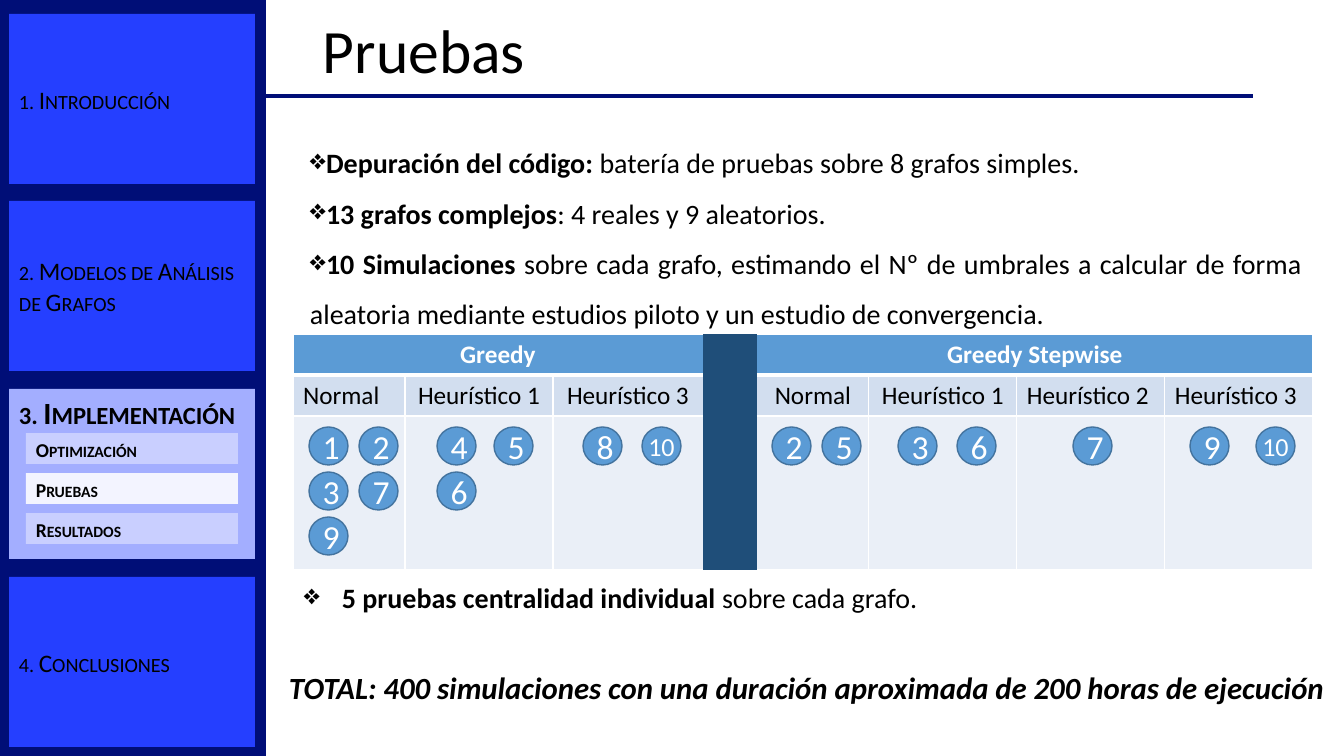
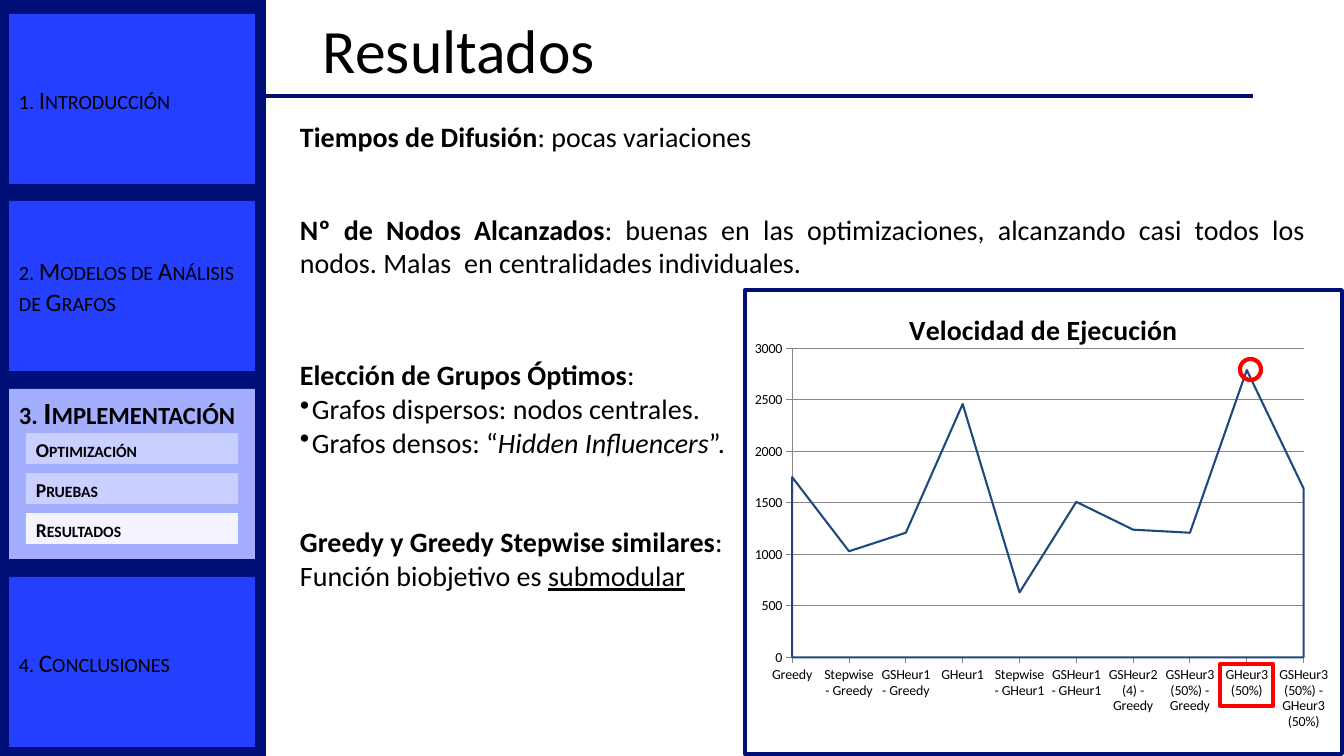
from pptx import Presentation
from pptx.chart.data import CategoryChartData
from pptx.dml.color import RGBColor
from pptx.enum.chart import XL_CHART_TYPE as ChartType, XL_TICK_MARK as TickMark
from pptx.enum.shapes import MSO_CONNECTOR as Connector, MSO_SHAPE as Preset
from pptx.enum.text import MSO_ANCHOR as Anchor, PP_ALIGN as Align
from pptx.oxml import parse_xml
from pptx.oxml.ns import nsdecls
from pptx.util import Emu, Pt

FONT = "Calibri"
NAVY, BLACK, WHITE, RED = "000E77", "000000", "FFFFFF", "FF0000"
SECTION, SECTION_OPEN = "253FFF", "A3AEFF"
TOPIC, TOPIC_OPEN = "C9CFFF", "F3F4FF"
HEADER, SUBHEADER, BODY, DIVIDER = "5B9BD5", "D2DEEF", "EAEFF7", "1F4E79"
DISC_LINE, SPEED_LINE, GRID = "43739E", "1F497D", "868686"

SECTIONS = ["1. Introducción", "2. Modelos de Análisis de Grafos",
            "3. Implementación", "4. Conclusiones"]
TOPICS = ["Optimización", "Pruebas", "Resultados"]
OPEN_SECTION = 2

BOLD = {"bold": True}
JUSTIFIED = {"alignment": Align.JUSTIFY}
SPACED = {"alignment": Align.JUSTIFY, "line_spacing": 1.5}
CENTERED = {"alignment": Align.CENTER}

DIVIDER_COLUMN = 3
COLUMN_WIDTHS = [112, 148, 150, 54, 112, 148, 148, 148]
ROW_HEIGHTS = [41, 41, 154]
VARIANTS = ["Normal", "Heurístico 1", "Heurístico 3", "",
            "Normal", "Heurístico 1", "Heurístico 2", "Heurístico 3"]
LEFT_VARIANTS = {0, 6, 7}
TESTS = [(309, 50, [1, 2, 3, 7, 9]), (437, 57, [4, 5, 6]), (583, 59, [8, 10]),
         (772, 50, [2, 5]), (898, 59, [3, 6]), (1073, 0, [7]), (1190, 66, [9, 10])]

SPEEDS = {"Greedy": 1750, "Stepwise - Greedy": 1030, "GSHeur1 - Greedy": 1210,
          "GHeur1": 2460, "Stepwise - GHeur1": 630, "GSHeur1 - GHeur1": 1510,
          "GSHeur2 (4) - Greedy": 1240, "GSHeur3 (50%) - Greedy": 1210,
          "GHeur3 (50%)": 2790, "GSHeur3 (50%) - GHeur3 (50%)": 1640}


def px(pixels):
    return Emu(round(pixels * 914400 / 100.8))


def box(*pixels):
    return [px(value) for value in pixels]


def rgb(code):
    return RGBColor.from_string(code)


def apply(target, values):
    for key, value in values.items():
        setattr(target, key, value)


def style_font(font, size, color=BLACK, **values):
    apply(font, {"name": FONT, "size": Pt(size), **values})
    font.color.rgb = rgb(color)


def add_run(paragraph, text, size, color=BLACK, small_caps=False, **values):
    run = paragraph.add_run()
    run.text = text
    style_font(run.font, size, color, **values)
    if small_caps:
        run.font._element.set("cap", "small")


def add_bullet(paragraph, mark, hang=0):
    properties = paragraph._p.get_or_add_pPr()
    properties.set("marL", str(px(hang)))
    properties.set("indent", str(-px(hang)))
    properties.append(parse_xml(f'<a:buChar {nsdecls("a")} char="{mark}"/>'))


def add_text(slide, area, size, paragraphs, anchor=Anchor.TOP):
    frame = slide.shapes.add_textbox(*box(*area)).text_frame
    apply(frame, {"word_wrap": True, "vertical_anchor": anchor})
    for index, (layout, bullet, runs) in enumerate(paragraphs):
        paragraph = frame.add_paragraph() if index else frame.paragraphs[0]
        apply(paragraph, layout)
        if bullet:
            add_bullet(paragraph, *bullet)
        for text, values in runs:
            add_run(paragraph, text, size, **values)


def add_figure(slide, preset, area, fill=None, line=None, weight=1):
    figure = slide.shapes.add_shape(preset, *box(*area))
    figure.shadow.inherit = False
    if fill:
        figure.fill.solid()
        figure.fill.fore_color.rgb = rgb(fill)
    else:
        figure.fill.background()
    if line:
        figure.line.color.rgb = rgb(line)
        figure.line.width = Pt(weight)
    else:
        figure.line.fill.background()
    return figure


def add_label(figure, text, size, anchor=Anchor.MIDDLE, align=Align.LEFT, **values):
    frame = figure.text_frame
    apply(frame, {"word_wrap": True, "vertical_anchor": anchor})
    frame.paragraphs[0].alignment = align
    add_run(frame.paragraphs[0], text, size, **values)


def add_navigation(slide, current):
    for index, section in enumerate(SECTIONS):
        is_open = index == OPEN_SECTION
        panel = add_figure(slide, Preset.RECTANGLE, (9, 14 + index * 563 // 3, 246, 170),
                           SECTION_OPEN if is_open else SECTION)
        add_label(panel, section, 22 if is_open else 18,
                  Anchor.TOP if is_open else Anchor.MIDDLE,
                  bold=is_open, small_caps=True)
    for index, topic in enumerate(TOPICS):
        panel = add_figure(slide, Preset.RECTANGLE, (26, 433 + index * 40, 212, 31),
                           TOPIC_OPEN if topic == current else TOPIC)
        add_label(panel, topic, 14, Anchor.TOP, bold=True, small_caps=True)


def add_base(deck, title):
    slide = deck.slides.add_slide(deck.slide_layouts[6])
    add_figure(slide, Preset.RECTANGLE, (-1, 0, 267, 756), NAVY)
    rule = slide.shapes.add_connector(Connector.STRAIGHT, *box(264, 96, 1253, 96))
    rule.line.color.rgb = rgb(NAVY)
    rule.line.width = Pt(2.25)
    rule._element.spPr.append(parse_xml(f'<a:effectLst {nsdecls("a")}/>'))
    add_text(slide, (313, 0, 937, 107), 44,
             [({"line_spacing": 0.9}, None, [(title, {})])], Anchor.MIDDLE)
    add_navigation(slide, title)
    return slide


def border_weight(row, column, side):
    beside_divider = (column, side) in {(2, "R"), (4, "L")} or (row, column, side) == (0, 0, "R")
    if column == DIVIDER_COLUMN or beside_divider:
        return 0
    return 3 if (row, side) in {(0, "B"), (1, "T")} else 1


def set_borders(cell, row, column):
    properties = cell._tc.get_or_add_tcPr()
    for position, side in enumerate("LRTB"):
        weight = border_weight(row, column, side)
        paint = (f'<a:solidFill><a:srgbClr val="{WHITE}"/></a:solidFill>'
                 if weight else "<a:noFill/>")
        properties.insert(position, parse_xml(
            f'<a:ln{side} {nsdecls("a")} w="{Pt(weight)}">{paint}</a:ln{side}>'))


def write_cell(cell, text, align=Align.CENTER, **values):
    cell.vertical_anchor = Anchor.MIDDLE if align == Align.CENTER else Anchor.TOP
    paragraph = cell.text_frame.paragraphs[0]
    paragraph.alignment = align
    add_run(paragraph, text, 18, **values)


def add_tests_table(slide):
    area = (293, 334, sum(COLUMN_WIDTHS), sum(ROW_HEIGHTS))
    table = slide.shapes.add_table(len(ROW_HEIGHTS), len(COLUMN_WIDTHS), *box(*area)).table
    for column, width in zip(table.columns, COLUMN_WIDTHS):
        column.width = px(width)
    for row, height in zip(table.rows, ROW_HEIGHTS):
        row.height = px(height)
    for row, shade in enumerate([HEADER, SUBHEADER, BODY]):
        for column in range(len(COLUMN_WIDTHS)):
            cell = table.cell(row, column)
            cell.fill.solid()
            cell.fill.fore_color.rgb = rgb(DIVIDER if column == DIVIDER_COLUMN else shade)
            set_borders(cell, row, column)
    for first, last, method in [(0, 2, "Greedy"), (4, 7, "Greedy Stepwise")]:
        table.cell(0, first).merge(table.cell(0, last))
        write_cell(table.cell(0, first), method, color=WHITE, bold=True)
    for column, variant in enumerate(VARIANTS):
        if variant:
            align = Align.LEFT if column in LEFT_VARIANTS else Align.CENTER
            write_cell(table.cell(1, column), variant, align, bold=False)


def add_test_discs(slide):
    for left, gap, numbers in TESTS:
        for index, number in enumerate(numbers):
            row, column = divmod(index, 2)
            area = (left + column * gap, 427 + row * 45, 39, 38)
            disc = add_figure(slide, Preset.OVAL, area, HEADER, DISC_LINE)
            wide = number > 9
            apply(disc.text_frame, {"margin_left": px(0 if wide else 8), "margin_top": 0,
                                    "margin_right": px(0 if wide else 10), "margin_bottom": 0})
            add_label(disc, str(number), 18.6 if wide else 24, align=Align.CENTER, color=WHITE)


def add_speed_chart(slide):
    data = CategoryChartData()
    data.categories = list(SPEEDS)
    data.add_series("Series 1", list(SPEEDS.values()))
    chart = slide.shapes.add_chart(ChartType.AREA, *box(743, 288, 601, 468), data).chart
    style_font(chart.font, 10)
    apply(chart, {"has_legend": False, "has_title": True})
    heading = chart.chart_title.text_frame.paragraphs[0]
    add_run(heading, "Velocidad de Ejecución", 20, bold=True)
    plot = chart.plots[0]
    plot.vary_by_categories = False
    speed = plot.series[0].format
    speed.fill.background()
    speed.line.color.rgb = rgb(SPEED_LINE)
    speed.line.width = Pt(1.5)
    values, methods = chart.value_axis, chart.category_axis
    apply(values, {"minimum_scale": 0, "maximum_scale": 3000, "major_unit": 500,
                   "has_major_gridlines": True})
    apply(methods, {"has_major_gridlines": False})
    for axis in (values, methods):
        apply(axis, {"major_tick_mark": TickMark.OUTSIDE, "minor_tick_mark": TickMark.NONE})
        axis.format.line.color.rgb = rgb(GRID)
    values.major_gridlines.format.line.color.rgb = rgb(GRID)
    frame_chart(chart)


def frame_chart(chart):
    space = chart._chartSpace
    space.find(".//" + "{*}crossBetween").set("val", "midCat")
    area = space.chart.plotArea
    for old in area.findall("{*}layout"):
        area.remove(old)
    modes = "".join(f'<c:{axis}Mode val="edge"/>' for axis in "xy")
    sizes = "".join(f'<c:{side} val="{share}"/>' for side, share in
                    {"x": 0.079, "y": 0.126, "w": 0.857, "h": 0.666}.items())
    area.insert(0, parse_xml(
        f'<c:layout {nsdecls("c")}><c:manualLayout><c:layoutTarget val="inner"/>'
        f'{modes}{sizes}</c:manualLayout></c:layout>'))
    space.chart.addnext(parse_xml(
        f'<c:spPr {nsdecls("c", "a")}><a:solidFill><a:srgbClr val="{WHITE}"/></a:solidFill>'
        f'<a:ln w="{Pt(3)}"><a:solidFill><a:srgbClr val="{NAVY}"/></a:solidFill></a:ln></c:spPr>'))


def build_tests(deck):
    slide = add_base(deck, "Pruebas")
    diamond = ("❖",)
    add_text(slide, (300, 124, 1012, 214), 20, [
        (SPACED, diamond, [("Depuración del código: ", BOLD),
                           ("batería de pruebas sobre 8 grafos simples.", {})]),
        (SPACED, diamond, [("13 grafos complejos", BOLD), (": 4 reales y 9 aleatorios.", {})]),
        (SPACED, diamond, [("10 Simulaciones ", BOLD),
                           ("sobre cada grafo, estimando el Nº de umbrales a calcular de forma "
                            "aleatoria mediante estudios piloto y un estudio de convergencia.", {})]),
    ])
    add_tests_table(slide)
    add_test_discs(slide)
    add_text(slide, (294, 576, 981, 44), 20, [
        ({}, ("❖", 38), [("5 pruebas centralidad individual ", BOLD), ("sobre cada grafo.", {})])])
    add_text(slide, (276, 664, 1061, 47), 22, [
        (CENTERED, None, [("TOTAL: 400 simulaciones con una duración aproximada de "
                           "200 horas de ejecución", {"bold": True, "italic": True})])])


def build_results(deck):
    slide = add_base(deck, "Resultados")
    dot = ("•", 12)
    add_text(slide, (290, 98, 1025, 188), 20, [
        ({**SPACED, "space_after": Pt(42)}, None,
         [("Tiempos de Difusión", BOLD), (": pocas variaciones", {})]),
        (JUSTIFIED, None, [("Nº de Nodos Alcanzados", BOLD),
                           (": buenas en las optimizaciones, alcanzando casi todos los nodos. "
                            "Malas  en centralidades individuales.", {})]),
    ])
    add_speed_chart(slide)
    add_text(slide, (290, 353, 453, 112), 20, [
        (JUSTIFIED, None, [("Elección de Grupos Óptimos", BOLD), (": ", {})]),
        (JUSTIFIED, dot, [("Grafos dispersos: nodos centrales.", {})]),
        (JUSTIFIED, dot, [("Grafos densos: “", {}),
                          ("Hidden Influencers", {"italic": True}), ("”.", {})]),
    ])
    add_text(slide, (290, 520, 453, 78), 20, [
        (JUSTIFIED, None, [("Greedy y Greedy Stepwise similares", BOLD), (": ", {})]),
        (JUSTIFIED, None, [("Función biobjetivo es ", {}), ("submodular", {"underline": True})]),
    ])
    add_figure(slide, Preset.OVAL, (1240, 359, 21, 21), line=RED, weight=3)
    add_figure(slide, Preset.RECTANGLE, (1220, 664, 53, 42), line=RED, weight=3)


def main():
    deck = Presentation()
    apply(deck, {"slide_width": px(1344), "slide_height": px(756)})
    build_tests(deck)
    build_results(deck)
    deck.save("out.pptx")


main()
